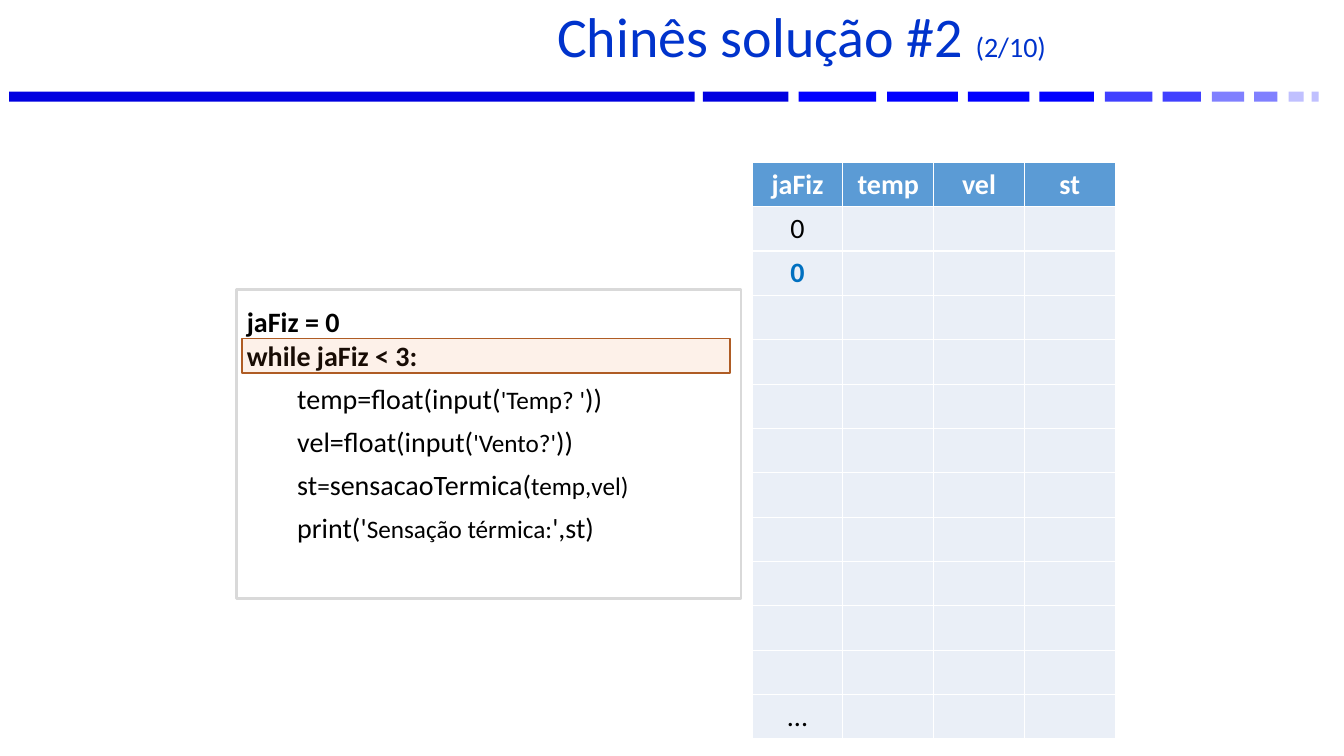
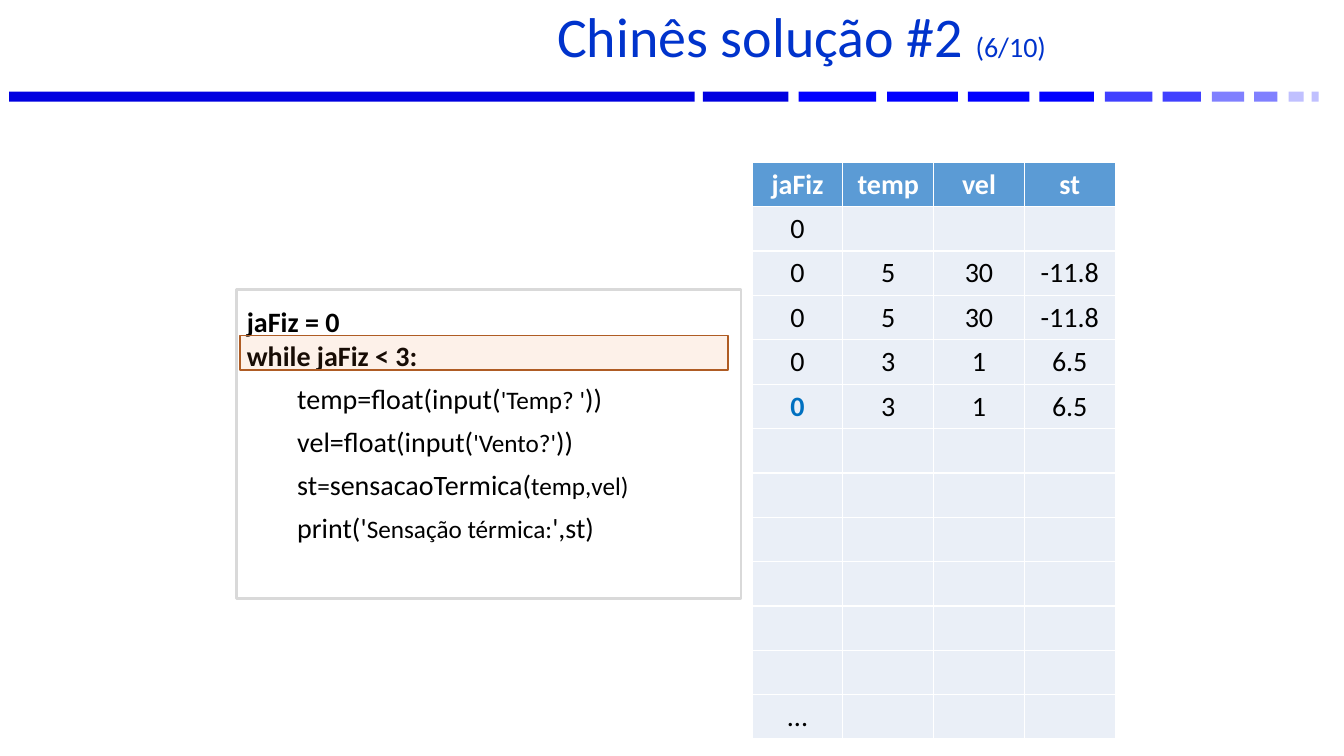
from lxml import etree
from pptx import Presentation
from pptx.dml.color import RGBColor
from pptx.enum.shapes import MSO_SHAPE
from pptx.enum.text import MSO_ANCHOR, MSO_AUTO_SIZE, PP_ALIGN
from pptx.oxml.ns import qn
from pptx.util import Inches, Pt

RECT = MSO_SHAPE.RECTANGLE
LEFT, CENTER = PP_ALIGN.LEFT, PP_ALIGN.CENTER
TOP, MIDDLE = MSO_ANCHOR.TOP, MSO_ANCHOR.MIDDLE


class Theme:
    font = "Calibri"
    title, body, small = 40, 20, 18
    blue, ink, white = "0033CC", "000000", "FFFFFF"
    head, cell, new = "5B9BD5", "EAEFF7", "0070C0"
    frame, mark, edge = "D9D9D9", "ED7D31", "AF5C24"


def put(para, *parts, size=Theme.body, color=Theme.ink, bold=False,
        align=LEFT, space=1.0, before=0, indent=0):
    """Write parts into a paragraph; a part is a text or a (text, size) pair."""
    if indent:
        props = para._p.get_or_add_pPr()
        props.set("marL", str(Inches(indent)))
        props.set("indent", "0")
    para.alignment = align
    para.line_spacing = space
    para.space_before = Pt(before)
    for part in parts:
        text, points = (part, size) if isinstance(part, str) else part
        run = para.add_run()
        run.text = text
        run.font.name = Theme.font
        run.font.size = Pt(points)
        run.font.bold = bold
        run.font.color.rgb = RGBColor.from_string(color)


def box(slide, left, top, width, height, fill, line=None, weight=1):
    shape = slide.shapes.add_shape(
        RECT, Inches(left), Inches(top), Inches(width), Inches(height))
    shape.shadow.inherit = False
    shape.fill.solid()
    shape.fill.fore_color.rgb = RGBColor.from_string(fill)
    if line:
        shape.line.color.rgb = RGBColor.from_string(line)
        shape.line.width = Pt(weight)
    else:
        shape.line.fill.background()
    return shape


band = [
    (0.09, 6.8, "0000E0"), (6.97, 0.85, "0000E0"),
    (7.92, 0.77, "0000FF"), (8.8, 0.7, "0000FF"),
    (9.6, 0.61, "0000FF"), (10.31, 0.54, "0000FF"),
    (10.96, 0.47, "4040FF"), (11.53, 0.38, "4040FF"),
    (12.02, 0.32, "8080FF"), (12.44, 0.23, "8080FF"),
    (12.78, 0.15, "C0C0FF"), (13.01, 0.07, "C0C0FF"),
]
small = Theme.small
code = [
    ["temp=float(input(", ("'Temp? '", small), "))"],
    ["vel=float(input(", ("'Vento?'", small), "))"],
    ["st", ("=", small), "sensacaoTermica(", ("temp,vel)", small)],
    ["print('", ("Sensação térmica:", small), "',st)"],
]
heads = ["jaFiz", "temp", "vel", "st"]
count = 13
# Step number, corner of the marker, values traced so far
steps = [
    (2, (2.4, 3.36), [["0"], ["0"]]),
    (6, (2.38, 3.33), [["0"], ["0", "5", "30", "-11.8"],
                       ["0", "5", "30", "-11.8"],
                       ["0", "3", "1", "6.5"], ["0", "3", "1", "6.5"]]),
]

prs = Presentation()
prs.slide_width, prs.slide_height = Inches(13.33), Inches(7.5)
layout = prs.slide_layouts[5]
title = layout.placeholders[0]
title.left, title.top = Inches(2.57), Inches(0.06)
title.width, title.height = Inches(10.76), Inches(0.7)
slides = [prs.slides.add_slide(layout) for step in steps]

# The band is drawn once and moved to the shared layout
for num, (left, width, fill) in enumerate(band, 100):
    bar = box(slides[0], left, 0.91, width, 0.1, fill)
    bar._element.nvSpPr.cNvPr.set("id", str(num))
    layout.shapes._spTree.append(bar._element)

for slide, (step, spot, trace) in zip(slides, steps):
    frame = slide.shapes.title.text_frame
    frame.auto_size = MSO_AUTO_SIZE.NONE
    frame.vertical_anchor = MIDDLE
    put(frame.paragraphs[0], "Chinês solução #2 ", (f"({step}/10)", Theme.body),
        size=Theme.title, color=Theme.blue, align=CENTER, space=0.8)

    table = slide.shapes.add_table(
        count, len(heads), Inches(7.46), Inches(1.61),
        Inches(0.9 * len(heads)), Inches(0.44 * count)).table
    table.horz_banding = False
    gap = [[]] * (count - len(trace) - 2)
    rows = [heads] + trace + gap + [["..."]]
    for r, values in enumerate(rows):
        for c in range(len(heads)):
            cell = table.cell(r, c)
            cell.vertical_anchor = MIDDLE
            cell.fill.solid()
            cell.fill.fore_color.rgb = RGBColor.from_string(
                Theme.cell if r else Theme.head)
            if c < len(values):
                fresh = r == len(trace) and c == 0
                color = Theme.new if fresh else Theme.ink if r else Theme.white
                put(cell.text_frame.paragraphs[0], values[c], color=color,
                    bold=fresh or r == 0, align=CENTER)

    panel = box(slide, 2.35, 2.87, 5, 3.07, Theme.white, Theme.frame, 2)
    frame = panel.text_frame
    frame.word_wrap = True
    frame.vertical_anchor = TOP
    frame.margin_top, frame.margin_bottom = Inches(0.15), 0
    put(frame.paragraphs[0], "jaFiz = 0", bold=True)
    put(frame.add_paragraph(), "while jaFiz < 3:", bold=True)
    for parts in code:
        put(frame.add_paragraph(), *parts, space=1.2, before=2, indent=0.5)

    mark = box(slide, *spot, 4.84, 0.34, Theme.mark, Theme.edge)
    tint = mark._element.spPr.find(qn("a:solidFill"))[0]
    etree.SubElement(tint, qn("a:alpha")).set("val", "10000")

prs.save("out.pptx")
